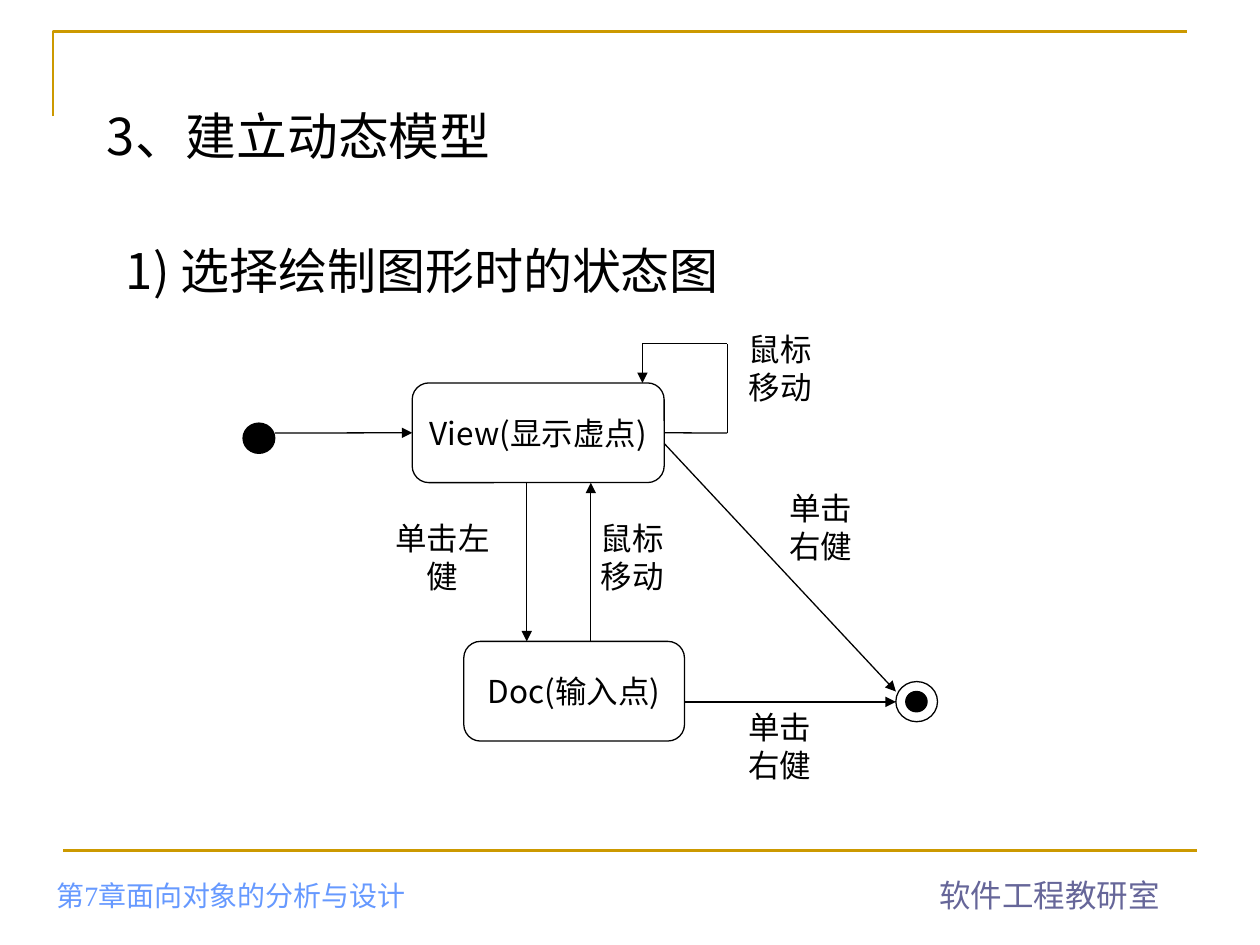
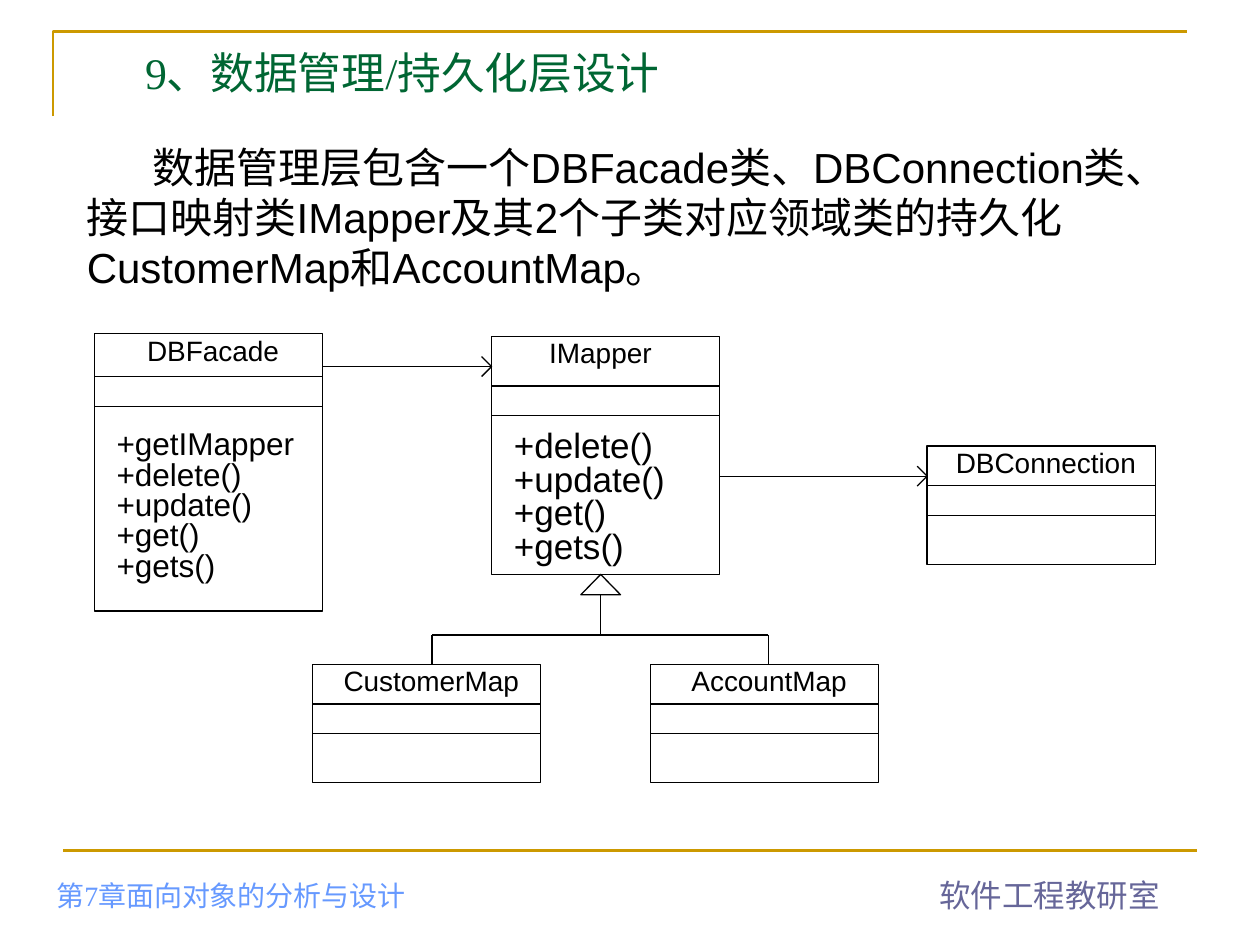
from dataclasses import dataclass
from itertools import pairwise

from lxml import etree
from pptx import Presentation
from pptx.dml.color import RGBColor
from pptx.enum import shapes, text
from pptx.oxml import ns
from pptx.util import Cm, Pt

BLACK = RGBColor(0x00, 0x00, 0x00)
GOLD = RGBColor(0xCC, 0x99, 0x00)
GREEN = RGBColor(0x00, 0x66, 0x33)
SLATE = RGBColor(0x66, 0x66, 0x99)
SKY = RGBColor(0x66, 0x99, 0xFF)
SANS, SERIF, CHINESE = "Arial", "Times New Roman", "Noto Sans CJK SC"
THIN, FRAME_WIDTH = 0.75, 1.5
LEFT, CENTER = text.PP_ALIGN.LEFT, text.PP_ALIGN.CENTER
TOP, MIDDLE, BOTTOM = text.MSO_ANCHOR.TOP, text.MSO_ANCHOR.MIDDLE, text.MSO_ANCHOR.BOTTOM

CLASS_WIDTH = 4.6
ATTRIBUTES_HEIGHT = 0.6
CHEVRON = 0.2

Point = tuple[float, float]


@dataclass(frozen=True)
class Box:
    left: float
    top: float
    width: float
    height: float

    def lengths(self) -> list[Cm]:
        return [Cm(value) for value in (self.left, self.top, self.width, self.height)]


@dataclass(frozen=True)
class Style:
    size: float
    font: str = CHINESE
    color: RGBColor = BLACK
    align: text.PP_ALIGN = LEFT
    anchor: text.MSO_ANCHOR = TOP
    wrap: bool = True
    line_spacing: float | None = None


@dataclass(frozen=True)
class Label:
    wording: str
    box: Box


@dataclass(frozen=True)
class ClassBox:
    name: str
    left: float
    top: float
    height: float = 2.39
    header: float = 0.8
    name_inset: float = 0.2
    operations: str = ""
    operation_size: float = 18


LABEL_STYLE = Style(18, align=CENTER)
STATE_STYLE = Style(18, align=CENTER, anchor=MIDDLE, wrap=False)
CLASS_STYLE = Style(16, SANS, align=CENTER, line_spacing=0.8)


def write(shape, wording: str, style: Style) -> None:
    """Set the text of a shape and format every run."""
    frame = shape.text_frame
    frame.text = wording
    frame.word_wrap = style.wrap
    frame.vertical_anchor = style.anchor
    frame.auto_size = text.MSO_AUTO_SIZE.NONE
    for paragraph in frame.paragraphs:
        paragraph.alignment = style.align
        paragraph.line_spacing = style.line_spacing
        for run in paragraph.runs:
            run.font.size = Pt(style.size)
            run.font.name = style.font
            run.font.color.rgb = style.color
            east_asian = etree.SubElement(run.font._element, ns.qn("a:ea"))
            east_asian.set("typeface", CHINESE)


def add_text(slide, wording: str, box: Box, style: Style):
    shape = slide.shapes.add_textbox(*box.lengths())
    write(shape, wording, style)
    return shape


def outline(shape, color: RGBColor = BLACK, width: float = THIN) -> None:
    """Give a shape a plain line, no fill and no shadow."""
    shape.shadow.inherit = False
    shape.fill.background()
    shape.line.color.rgb = color
    shape.line.width = Pt(width)


def add_outlined(slide, kind: shapes.MSO_SHAPE, box: Box):
    shape = slide.shapes.add_shape(kind, *box.lengths())
    outline(shape)
    return shape


def add_disc(slide, box: Box) -> None:
    disc = add_outlined(slide, shapes.MSO_SHAPE.OVAL, box)
    disc.fill.solid()
    disc.fill.fore_color.rgb = BLACK


def add_state(slide, name: str, box: Box):
    state = add_outlined(slide, shapes.MSO_SHAPE.ROUNDED_RECTANGLE, box)
    write(state, name, STATE_STYLE)
    return state


def add_line(slide, start: Point, end: Point, arrow: bool = False,
             color: RGBColor = BLACK, width: float = THIN):
    line = slide.shapes.add_connector(
        shapes.MSO_CONNECTOR.STRAIGHT, *(Cm(value) for value in start + end))
    line.line.color.rgb = color
    line.line.width = Pt(width)
    if arrow:
        etree.SubElement(line.line._get_or_add_ln(), ns.qn("a:tailEnd")).set("type", "triangle")
    etree.SubElement(line._element.spPr, ns.qn("a:effectLst"))
    return line


def add_path(slide, points: list[Point], close: bool = False,
             color: RGBColor = BLACK, width: float = THIN) -> None:
    first, *rest = [(Cm(x), Cm(y)) for x, y in points]
    builder = slide.shapes.build_freeform(*first)
    builder.add_line_segments(rest, close=close)
    outline(builder.convert_to_shape(), color, width)


def add_association(slide, start: Point, end: Point) -> None:
    """Draw a level line that ends in an open arrowhead."""
    x, y = end
    add_line(slide, start, end)
    add_path(slide, [(x - CHEVRON, y - CHEVRON), end, (x - CHEVRON, y + CHEVRON)])


def add_class(slide, item: ClassBox) -> None:
    add_text(slide, item.name, Box(item.left + item.name_inset, item.top, 4.39, 0.81),
             CLASS_STYLE)
    add_outlined(slide, shapes.MSO_SHAPE.RECTANGLE,
                 Box(item.left, item.top, CLASS_WIDTH, item.height))
    for offset in (item.header, item.header + ATTRIBUTES_HEIGHT):
        y = item.top + offset
        add_line(slide, (item.left, y), (item.left + CLASS_WIDTH, y))
    if item.operations:
        add_text(slide, item.operations, Box(item.left + 0.2, 8.58, 4.39, 3),
                 Style(item.operation_size, SANS, line_spacing=0.8))


def add_base_slide(presentation, title: str, box: Box, style: Style):
    """Add a slide with the shared frame, footers and a title."""
    slide = presentation.slides.add_slide(presentation.slide_layouts[5])
    add_path(slide, [(1.07, 2.34), (1.07, 0.64), (23.93, 0.64)],
             color=GOLD, width=FRAME_WIDTH)
    add_line(slide, (1.27, 17.15), (24.13, 17.15), color=GOLD, width=FRAME_WIDTH)
    add_text(slide, "软件工程教研室", Box(18.69, 17.53, 4.95, 1.02),
             Style(18, SANS, SLATE, wrap=False))
    add_text(slide, "第7章面向对象的分析与设计", Box(0.89, 17.73, 10.41, 0.79),
             Style(16, SERIF, SKY, anchor=BOTTOM))
    placeholder = slide.shapes.title
    placeholder.left, placeholder.top, placeholder.width, placeholder.height = box.lengths()
    write(placeholder, title, style)
    return slide


def build_state_slide(presentation) -> None:
    slide = add_base_slide(presentation, "3、建立动态模型", Box(1.9, 1.73, 22, 1.98),
                           Style(29, anchor=MIDDLE))
    add_text(slide, "1) 选择绘制图形时的状态图", Box(2.29, 4.72, 14.4, 1.45), Style(28))

    view = add_state(slide, "View(显示虚点)", Box(8.31, 7.72, 5.08, 2.01))
    add_state(slide, "Doc(输入点)", Box(9.35, 12.93, 4.45, 2.01))
    add_disc(slide, Box(4.9, 8.53, 0.64, 0.61))
    add_disc(slide, Box(18.26, 13.94, 0.43, 0.41))
    add_outlined(slide, shapes.MSO_SHAPE.OVAL, Box(18.06, 13.74, 0.84, 0.81))

    add_line(slide, (5.54, 8.73), (8.31, 8.73), arrow=True).end_connect(view, 1)
    loop = [(13.39, 8.73), (14.66, 8.73), (14.66, 6.93), (12.95, 6.93), (12.95, 7.72)]
    segments = [add_line(slide, start, end, arrow=end == loop[-1])
                for start, end in pairwise(loop)]
    segments[0].begin_connect(view, 3)
    transitions = [
        ((10.62, 9.73), (10.62, 12.93)),
        ((11.91, 12.93), (11.91, 9.73)),
        ((13.81, 14.15), (18.06, 14.15)),
        ((13.39, 8.94), (18.06, 13.94)),
    ]
    for start, end in transitions:
        add_line(slide, start, end, arrow=True)

    labels = [
        Label("鼠标\n移动", Box(14.66, 6.53, 2.13, 1.78)),
        Label("鼠标\n移动", Box(11.68, 10.34, 2.13, 1.78)),
        Label("单击左健", Box(7.65, 10.34, 2.54, 1.78)),
        Label("单击右健", Box(15.49, 9.73, 2.11, 1.78)),
        Label("单击右健", Box(14.66, 14.15, 2.11, 1.78)),
    ]
    for label in labels:
        add_text(slide, label.wording, label.box, LABEL_STYLE)


def build_class_slide(presentation) -> None:
    slide = add_base_slide(presentation, "9、数据管理/持久化层设计",
                           Box(2.67, 0.79, 12.19, 2), Style(25, SERIF, GREEN))
    summary = add_text(
        slide,
        "数据管理层包含一个DBFacade类、DBConnection类、接口映射类IMapper"
        "及其2个子类对应领域类的持久化CustomerMap和AccountMap。",
        Box(1.5, 2.72, 22.6, 3.3), Style(24, SANS))
    properties = summary.text_frame.paragraphs[0]._p.get_or_add_pPr()
    properties.set("indent", str(Cm(1.33)))

    shared_operations = "+delete()\n+update()\n+get()\n+gets()"
    classes = [
        ClassBox("DBFacade", 1.9, 6.73, 5.59, 0.86,
                 operations="+getIMapper\n" + shared_operations),
        ClassBox("IMapper", 9.91, 6.78, 4.8, 1.0, name_inset=0,
                 operations=shared_operations, operation_size=20),
        ClassBox("DBConnection", 18.69, 8.99),
        ClassBox("CustomerMap", 6.3, 13.39),
        ClassBox("AccountMap", 13.11, 13.39),
    ]
    for item in classes:
        add_class(slide, item)

    add_association(slide, (6.5, 7.39), (9.91, 7.39))
    add_association(slide, (14.51, 9.6), (18.69, 9.6))

    trunk, branch_y = 12.11, 12.8
    add_path(slide, [(trunk, 11.58), (trunk - 0.4, 11.99), (trunk + 0.4, 11.99)], close=True)
    add_line(slide, (trunk, 11.99), (trunk, branch_y))
    branches = (8.71, 15.49)
    add_line(slide, (branches[0], branch_y), (branches[1], branch_y))
    for x in branches:
        add_line(slide, (x, branch_y), (x, 13.39))


def main() -> None:
    presentation = Presentation()
    presentation.slide_width, presentation.slide_height = Cm(25.4), Cm(19.05)
    build_state_slide(presentation)
    build_class_slide(presentation)
    presentation.save("out.pptx")


if __name__ == "__main__":
    main()
